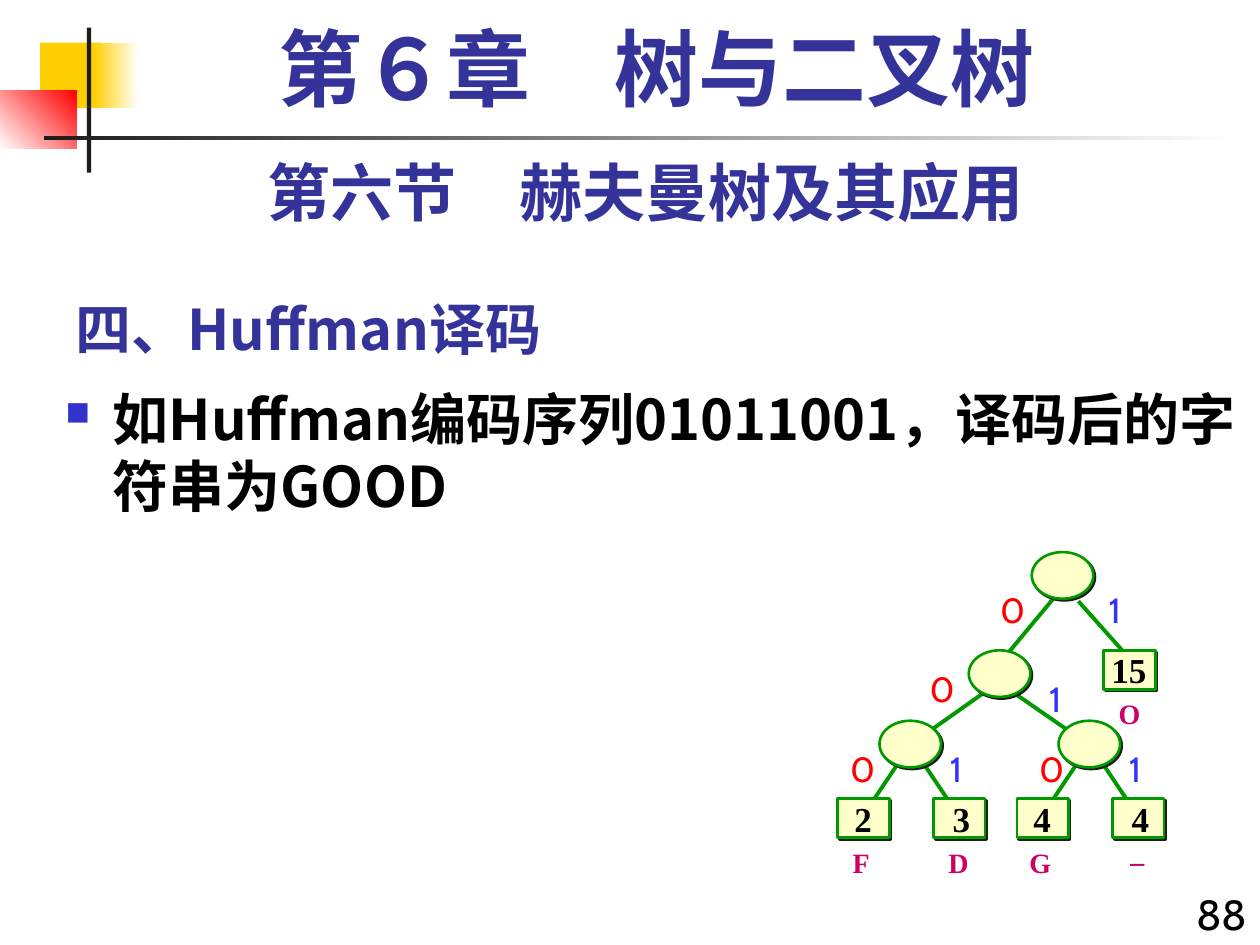
from lxml import etree
from pptx import Presentation
from pptx.dml.color import RGBColor
from pptx.enum.shapes import MSO_CONNECTOR, MSO_SHAPE as SHAPE
from pptx.enum.text import MSO_ANCHOR as ANCHOR, MSO_AUTO_SIZE as FIT, PP_ALIGN as ALIGN
from pptx.oxml.ns import qn
from pptx.util import Cm, Pt

CJK, CABIN, TIMES = "Noto Sans CJK SC", "Cabin", "Times New Roman"
NAVY, BLACK, DARK, WHITE = "333399", "000000", "1C1C1C", "FFFFFF"
YELLOW, RED, BLUE, PINK = "FFCF01", "FF0000", "3333FF", "CC0066"
GREEN, CREAM = "009900", "FFFFCC"


def rgb(value):
    return RGBColor.from_string(value)


def sub(parent, tag, **attrs):
    return etree.SubElement(parent, qn(tag), attrs)


class TreeSlide:
    def __init__(self, s):
        self.shapes = s.shapes

    def start_group(self):
        """Send every later element into a new group."""
        self.shapes = self.shapes.add_group_shape().shapes

    def text(self, x, y, w, h, text, size=20, font=CABIN, color=BLACK, bold=False,
             align=ALIGN.LEFT, anchor=ANCHOR.TOP, wrap=True, fit=FIT.NONE,
             spacing=None, hang=0, bullet=None):
        tf = self.shapes.add_textbox(Cm(x), Cm(y), Cm(w), Cm(h)).text_frame
        tf.word_wrap, tf.auto_size, tf.vertical_anchor = wrap, fit, anchor
        p = tf.paragraphs[0]
        p.alignment = align
        if spacing:
            p.line_spacing = spacing
        pPr = p._p.get_or_add_pPr()
        if hang:
            pPr.set("marL", str(Cm(hang)))
            pPr.set("indent", str(-Cm(hang)))
        if bullet:
            sub(sub(pPr, "a:buClr"), "a:srgbClr", val=bullet)
            sub(pPr, "a:buSzPct", val="60000")
            sub(pPr, "a:buChar", char="■")
        r = p.add_run()
        r.text = text
        r.font.size, r.font.bold, r.font.name = Pt(size), bold, font
        r.font.color.rgb = rgb(color)
        sub(r._r.get_or_add_rPr(), "a:ea", typeface=CJK)

    def box(self, x, y, w, h, fill, fade_to=None, angle=0, kind=SHAPE.RECTANGLE):
        sp = self.shapes.add_shape(kind, Cm(x), Cm(y), Cm(w), Cm(h))
        sp.shadow.inherit = False
        sp.line.fill.background()
        if fade_to:
            sp.fill.gradient()
            sp.fill.gradient_angle = angle
            for stop, color, place in zip(sp.fill.gradient_stops, (fill, fade_to), (0, 1)):
                stop.color.rgb, stop.position = rgb(color), place
        else:
            sp.fill.solid()
            sp.fill.fore_color.rgb = rgb(fill)
        return sp

    def node(self, x, y, leaf=False):
        w, h, kind = (1.04, 0.79, SHAPE.RECTANGLE) if leaf else (1.24, 0.94, SHAPE.OVAL)
        sp = self.box(x, y, w, h, CREAM, kind=kind)
        sp.line.color.rgb, sp.line.width = rgb(GREEN), Pt(1.5)
        effects = sp._element.spPr.find(qn("a:effectLst"))
        shadow = sub(effects, "a:outerShdw", blurRad="0", dist=str(Pt(1.4)), dir="2700000")
        sub(shadow, "a:srgbClr", val=DARK)

    def edge(self, x1, y1, x2, y2):
        line = self.shapes.add_connector(MSO_CONNECTOR.STRAIGHT, Cm(x1), Cm(y1), Cm(x2), Cm(y2))
        line.line.color.rgb, line.line.width = rgb(GREEN), Pt(2.25)
        sub(line._element.spPr, "a:effectLst")

    def bit(self, x, y, value):
        self.text(x, y, 1.19, 1.12, value, color=RED if value == "0" else BLUE,
                  fit=FIT.SHAPE_TO_FIT_TEXT)

    def label(self, x, y, w, h, text, **fmt):
        self.text(x, y, w, h, text, font=TIMES, bold=True, align=ALIGN.CENTER,
                  anchor=ANCHOR.MIDDLE, wrap=False, fit=FIT.SHAPE_TO_FIT_TEXT, **fmt)

    def weight(self, x, y, value, w=0.86):
        self.label(x, y, w, 1.12, value)

    def letter(self, x, y, char):
        self.label(x, y, 0.94, 0.94, char, size=16, color=PINK)

    def subtree(self, x, zero_x, weights, letters, letter_tops):
        """Draw a lowest inner node with its two leaves, starting at x."""
        self.edge(x + 1.68, 15.32, x + 2.31, 16.26)
        self.edge(x + 1.26, 15.32, x + 0.63, 16.26)
        for i in range(2):
            self.node(x + 1.93 * i, 16.1, leaf=True)
        self.node(x + 0.84, 14.53)
        for i, (value, char, top) in enumerate(zip(weights, letters, letter_tops)):
            self.weight(x + 0.08 + 1.98 * i, 15.95, value)
            self.letter(x + 1.96 * i, top, char)
        self.bit(zero_x, 14.94, "0")
        self.bit(x + 2.01, 14.94, "1")


def main():
    prs = Presentation()
    prs.slide_width, prs.slide_height = Cm(25.4), Cm(19.05)
    d = TreeSlide(prs.slides.add_slide(prs.slide_layouts[6]))

    d.box(0.81, 0.86, 1.22, 1.32, YELLOW)
    d.box(1.88, 0.86, 0.91, 1.32, YELLOW, WHITE)
    d.box(0, 1.83, 1.55, 1.17, WHITE, RED, angle=45)
    d.box(1.75, 0.56, 0.09, 2.92, DARK)
    d.box(0.89, 2.74, 24, 0.09, DARK, WHITE)

    d.text(1.27, 5.51, 15.88, 1.9, "四、Huffman译码", size=32, font=CJK, color=NAVY,
           bold=True, anchor=ANCHOR.BOTTOM)
    d.text(23.7, 17.78, 1.7, 1.5, "88", size=24, align=ALIGN.RIGHT,
           fit=FIT.SHAPE_TO_FIT_TEXT)
    d.text(1.27, 2.97, 23.5, 1.78, "第六节\u3000赫夫曼树及其应用".replace("\u3000", "　"),
           size=36, color=NAVY, bold=True, align=ALIGN.CENTER, fit=FIT.SHAPE_TO_FIT_TEXT)
    d.text(1.07, 7.62, 24.33, 11.43, "如Huffman编码序列01011001，译码后的字符串为GOOD",
           size=32, font=CJK, bold=True, hang=0.95, bullet="3333CC")
    d.text(1.7, 0.43, 23.06, 2.11, "第６章　树与二叉树", size=48, font=TIMES, color=NAVY,
           bold=True, align=ALIGN.CENTER, spacing=0.9, hang=0.95)

    d.start_group()
    for ends in ((21.74, 12.12, 22.89, 13.41), (21.34, 11.94, 20.35, 13.13),
                 (20.37, 13.92, 21.54, 14.73), (19.94, 13.89, 18.75, 14.73)):
        d.edge(*ends)
    d.node(22.25, 13.11, leaf=True)
    d.node(19.53, 13.11)
    d.node(20.8, 11.13)
    d.weight(22.15, 12.93, "15", w=1.22)
    d.letter(22.3, 13.92, "O")
    for x, y, value in ((19.91, 11.73, "0"), (18.49, 13.34, "0"),
                        (22.1, 11.73, "1"), (20.9, 13.54, "1")):
        d.bit(x, y, value)
    d.subtree(16.89, 16.89, "23", "FD", (16.92, 16.92))
    d.subtree(20.5, 20.7, "44", "G_", (16.92, 16.69))

    prs.save("out.pptx")


if __name__ == "__main__":
    main()
